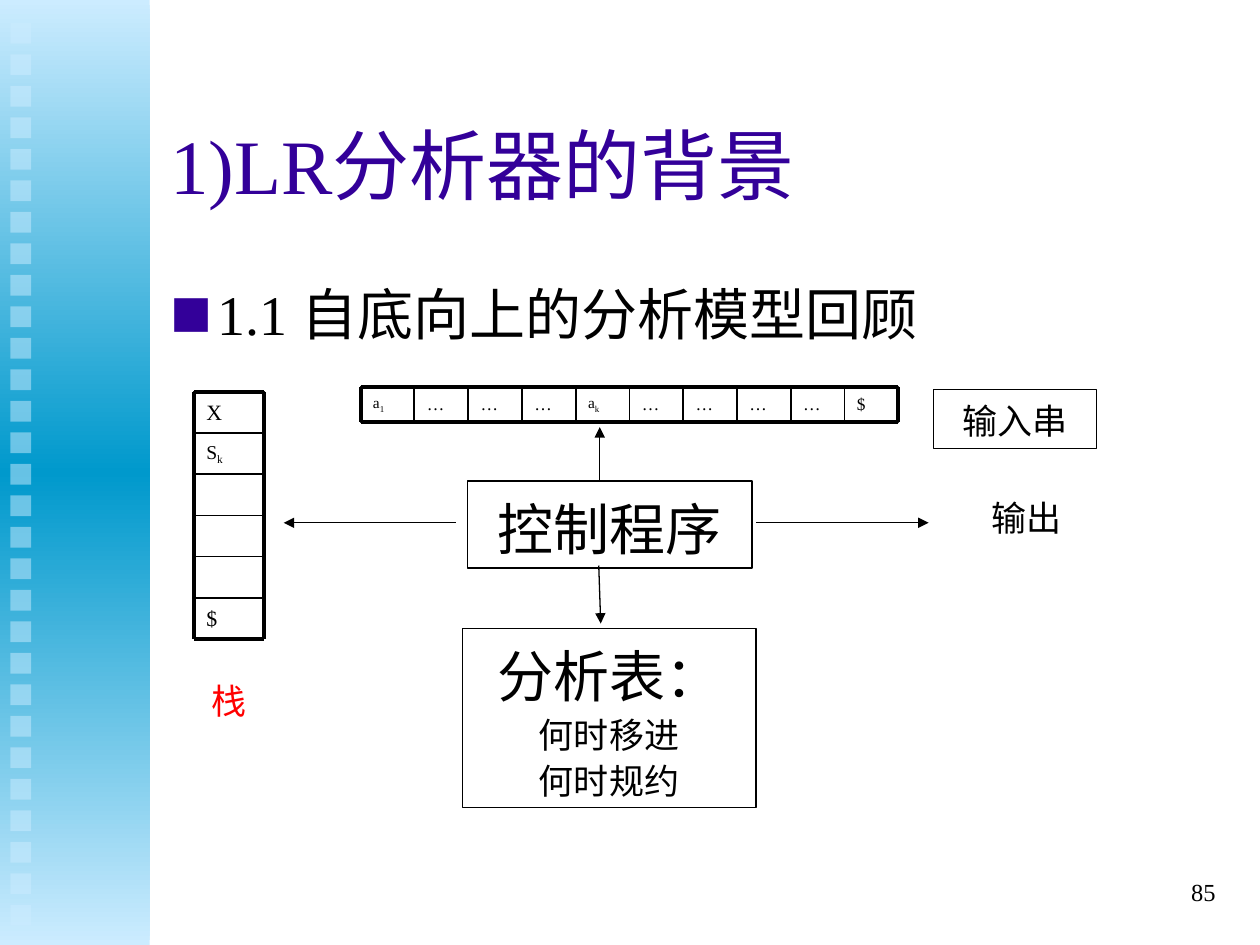
"""Build the slide on the background of LR parsers."""
from copy import deepcopy
from dataclasses import dataclass

from pptx import Presentation
from pptx.dml.color import RGBColor
from pptx.enum.shapes import MSO_CONNECTOR, MSO_SHAPE
from pptx.enum.text import MSO_ANCHOR, MSO_AUTO_SIZE, PP_ALIGN
from pptx.oxml.ns import qn
from pptx.oxml.xmlchemy import OxmlElement
from pptx.util import Cm, Pt

LATIN, HAN = "Times New Roman", "Noto Sans CJK SC"
BLACK, RED, INDIGO = "000000", "FF0000", "330099"
PALE, DEEP = "CCECFF", "0099CC"


@dataclass
class Line:
    text: str
    size: float
    before: float = 0
    sub: str = ""
    font: str = LATIN
    color: str = BLACK
    align: PP_ALIGN = PP_ALIGN.LEFT
    space: float = 1.0


@dataclass
class Box:
    x: float
    y: float
    w: float
    h: float
    lines: tuple = ()
    framed: bool = True


@dataclass
class Arrow:
    x1: float
    y1: float
    x2: float
    y2: float


def rgb(code: str) -> RGBColor:
    return RGBColor.from_string(code)


def add_child(parent, tag: str, **attrs: str):
    child = OxmlElement(tag)
    for key, value in attrs.items():
        child.set(key, value)
    parent.append(child)
    return child


def han(text: str, size: float, before: float = 0, color: str = BLACK) -> Line:
    return Line(text, size, before, "", HAN, color, PP_ALIGN.CENTER, 1.1)


def write(frame, lines: tuple, anchor=MSO_ANCHOR.TOP) -> None:
    frame.word_wrap = True
    frame.auto_size = MSO_AUTO_SIZE.NONE
    frame.vertical_anchor = anchor
    frame.margin_left = frame.margin_right = Cm(0.25)
    frame.margin_top = frame.margin_bottom = Cm(0.13)
    frame.text = "\n".join(line.text for line in lines)
    for line, para in zip(lines, frame.paragraphs):
        para.alignment = line.align
        para.line_spacing = line.space
        para.space_before = Pt(line.before)
        if line.sub:
            run = para.add_run()
            run.text = line.sub
            run.font._element.set("baseline", "-25000")
        for run in para.runs:
            run.font.size = Pt(line.size)
            run.font.name = line.font
            run.font.color.rgb = rgb(line.color)
            add_child(run.font._element, "a:ea", typeface=HAN)


def place(shape, x: float, y: float, w: float, h: float) -> None:
    shape.left, shape.top, shape.width, shape.height = Cm(x), Cm(y), Cm(w), Cm(h)


def draw_rect(slide, x: float, y: float, w: float, h: float):
    shape = slide.shapes.add_shape(MSO_SHAPE.RECTANGLE, Cm(x), Cm(y), Cm(w), Cm(h))
    shape.shadow.inherit = False
    shape.line.fill.background()
    return shape


def draw_box(slide, box: Box, anchor=MSO_ANCHOR.TOP) -> None:
    if box.framed:
        shape = draw_rect(slide, box.x, box.y, box.w, box.h)
        shape.fill.background()
        shape.line.color.rgb = rgb(BLACK)
        shape.line.width = Pt(0.75)
    else:
        shape = slide.shapes.add_textbox(Cm(box.x), Cm(box.y), Cm(box.w), Cm(box.h))
    if box.lines:
        write(shape.text_frame, box.lines, anchor)


def draw_line(slide, x1: float, y1: float, x2: float, y2: float, width: float):
    link = slide.shapes.add_connector(
        MSO_CONNECTOR.STRAIGHT, Cm(x1), Cm(y1), Cm(x2), Cm(y2))
    link.line.color.rgb = rgb(BLACK)
    link.line.width = Pt(width)
    add_child(link._element.spPr, "a:effectLst")
    return link


def draw_arrow(slide, arrow: Arrow) -> None:
    link = draw_line(slide, arrow.x1, arrow.y1, arrow.x2, arrow.y2, 0.75)
    add_child(link.line._get_or_add_ln(), "a:tailEnd", type="triangle")


def draw_grid(slide, area: Box, cells: tuple, cols: int, rows: int) -> None:
    w, h = area.w / cols, area.h / rows
    right, base = area.x + area.w, area.y + area.h
    for i, cell in enumerate(cells):
        row, col = divmod(i, cols)
        lines = (cell,) if cell else ()
        draw_box(slide, Box(area.x + col * w, area.y + row * h, w, h, lines))
    for row in range(rows + 1):
        y = area.y + row * h
        draw_line(slide, area.x, y, right, y, 2.25 if row in (0, rows) else 1)
    for col in range(cols + 1):
        x = area.x + col * w
        draw_line(slide, x, area.y, x, base, 2.25 if col in (0, cols) else 1)


def draw_band(slide) -> None:
    band = draw_rect(slide, 0, 0, 3.02, 19.05)
    band.fill.gradient()
    band.fill.gradient_angle = 270
    stops = band._element.spPr.find(".//" + qn("a:gsLst"))
    stops.append(deepcopy(stops[-1]))
    for stop, color, at in zip(band.fill.gradient_stops, (PALE, DEEP, PALE), (0, 0.5, 1)):
        stop.color.rgb = rgb(color)
        stop.position = at
    for i in range(29):
        square = draw_rect(slide, 0.21, 0.46 + i * 17.78 / 28, 0.42, 0.42)
        square.fill.solid()
        square.fill.fore_color.rgb = rgb(PALE)
        tint = square._element.spPr.find(".//" + qn("a:srgbClr"))
        add_child(tint, "a:alpha", val="50000")


def fill_body(body) -> None:
    place(body, 3.18, 5.5, 21.59, 11.43)
    write(body.text_frame, (Line("1.1 自底向上的分析模型回顾", 32, 8),))
    props = body.text_frame.paragraphs[0]._p.get_or_add_pPr()
    props.set("marL", str(Cm(0.95)))
    props.set("indent", str(Cm(-0.95)))
    add_child(add_child(props, "a:buClr"), "a:srgbClr", val=INDIGO)
    add_child(props, "a:buSzPct", val="75000")
    add_child(props, "a:buFont", typeface=HAN)
    add_child(props, "a:buChar", char="■")


def main() -> None:
    deck = Presentation()
    deck.slide_width, deck.slide_height = Cm(25.4), Cm(19.05)
    slide = deck.slides.add_slide(deck.slide_layouts[1])
    draw_band(slide)
    title, body = slide.placeholders
    place(title, 3.18, 1.7, 21.59, 3.18)
    write(title.text_frame, (Line("1)LR分析器的背景", 44, color=INDIGO),), MSO_ANCHOR.MIDDLE)
    fill_body(body)

    dots = Line("…", 10, 4)
    tape = (Line("a", 8.8, 4, "1"), dots, dots, dots, Line("a", 8.8, 4, "k"),
            dots, dots, dots, dots, Line("$", 9.9, 4.5))
    stack = (Line("X", 12.5, 5), Line("S", 11.2, 4, "k"), None, None, None,
             Line("$", 12.5, 5))
    draw_grid(slide, Box(7.27, 7.8, 10.84, 0.71), tape, 10, 1)
    draw_grid(slide, Box(3.91, 7.9, 1.42, 4.98), stack, 1, 6)

    table = (han("分析表：", 32), han("何时移进", 20), han("何时规约", 20))
    for box in (
        Box(3.61, 13.49, 2.03, 1.19, (han("栈", 20, 12.5, RED),), False),
        Box(9.42, 9.7, 5.74, 1.75, (han("控制程序", 32, 20),)),
        Box(9.32, 12.67, 5.92, 3.61, table),
        Box(18.82, 7.85, 3.28, 1.19, (han("输入串", 20, 12.5),)),
        Box(19.05, 9.8, 3.28, 1.19, (han("输出", 20, 12.5),), False),
    ):
        draw_box(slide, box)
    for arrow in (
        Arrow(9.19, 10.54, 5.72, 10.54),
        Arrow(15.24, 10.54, 18.72, 10.54),
        Arrow(12.07, 11.4, 12.11, 12.57),
        Arrow(12.09, 9.68, 12.09, 8.61),
    ):
        draw_arrow(slide, arrow)
    page = Line("85", 14, align=PP_ALIGN.RIGHT)
    draw_box(slide, Box(19.48, 17.35, 5.28, 1.27, (page,), False), MSO_ANCHOR.MIDDLE)
    deck.save("out.pptx")


if __name__ == "__main__":
    main()
